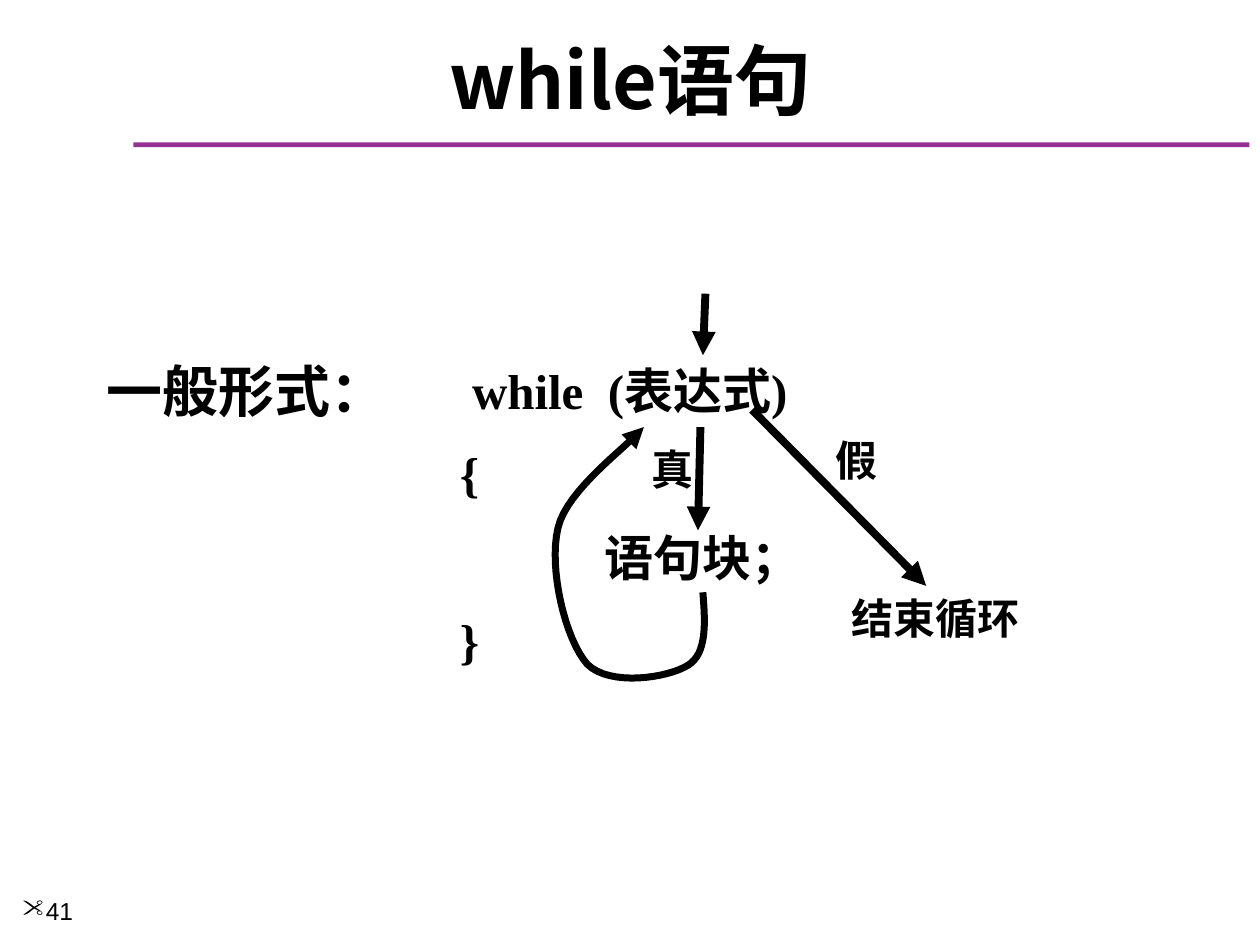
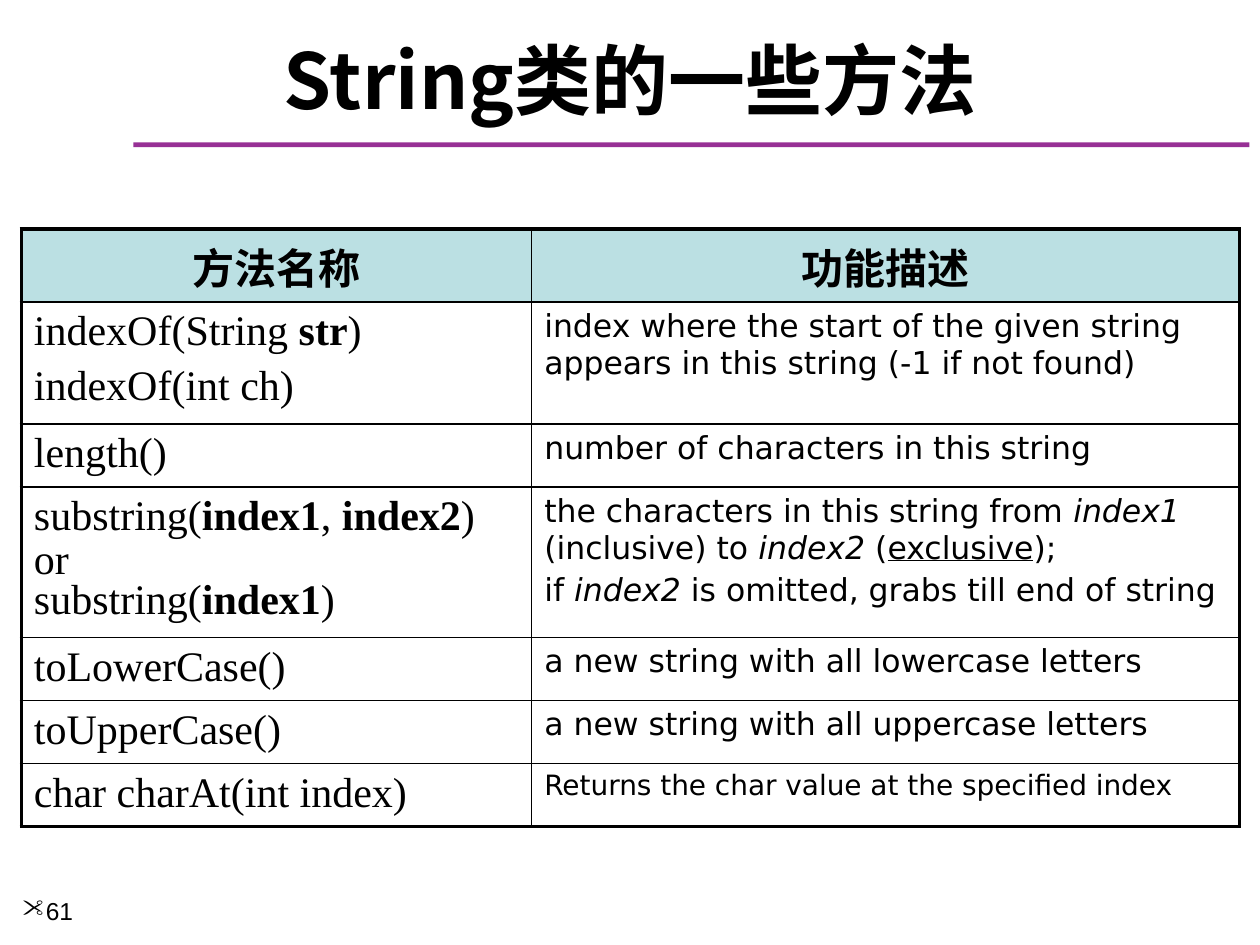
from pptx import Presentation
from pptx.dml.color import RGBColor
from pptx.enum.shapes import MSO_CONNECTOR, MSO_SHAPE
from pptx.enum.text import MSO_ANCHOR, PP_ALIGN
from pptx.oxml.ns import qn
from pptx.util import Cm, Pt
from lxml import etree

STRAIGHT = MSO_CONNECTOR.STRAIGHT
RECTANGLE = MSO_SHAPE.RECTANGLE
MIDDLE = MSO_ANCHOR.MIDDLE
LEFT, CENTER = PP_ALIGN.LEFT, PP_ALIGN.CENTER

BLACK, PURPLE, PALE_BLUE = "000000", "973095", "BBE0E3"
TITLE_FONT = {"name": "Noto Sans CJK SC", "size": Pt(44), "bold": True}
NUMBER_FONT = {"name": "Arial", "size": Pt(14)}
HEADING_FONT = {"name": "Times New Roman", "size": Pt(32), "bold": True}
CODE_FONT = HEADING_FONT | {"size": Pt(28)}
LABEL_FONT = HEADING_FONT | {"size": Pt(24)}
HEADER_FONT = {"name": "DejaVu Sans", "size": Pt(24), "bold": True}
METHOD_FONT = {"name": "Times New Roman", "size": Pt(24), "bold": False}
DESCRIPTION_FONT = {"name": "DejaVu Sans", "size": Pt(18), "bold": False}
SMALL_FONT = DESCRIPTION_FONT | {"size": Pt(16)}
BOLD, ITALIC, UNDERLINE = {"bold": True}, {"italic": True}, {"underline": True}

LOOP_START = (14.17, 11.94)
LOOP_CURVES = [
    ((14.22, 12.57), (14.25, 13.18), (13.87, 13.41)),
    ((13.46, 13.67), (12.29, 13.84), (11.84, 13.39)),
    ((11.4, 12.9), (11.05, 11.46), (11.25, 10.64)),
    ((11.43, 9.86), (12.67, 8.99), (12.98, 8.61)),
]
CURVE_STEPS = 16

COLUMN_WIDTHS = (10.29, 14.27)
ROW_HEIGHTS = (1.47, 2.29, 1.19, 2.84, 1.19, 1.19, 1.17)
METHODS = [
    ([["indexOf(String ", ("str", BOLD), ")"], ["indexOf(int ch)"]],
     [["index where the start of the given string appears in this string (-1 if not found)"]]),
    ([["length()"]], [["number of characters in this string"]]),
    ([["substring(", ("index1", BOLD), ", ", ("index2", BOLD), ")"],
      ["or"],
      ["substring(", ("index1", BOLD), ")"]],
     [["the characters in this string from ", ("index1", ITALIC), " (inclusive) to ",
       ("index2", ITALIC), " (", ("exclusive", UNDERLINE), ");"],
      ["if ", ("index2", ITALIC), " is omitted, grabs till end of string"]]),
    ([["toLowerCase()"]], [["a new string with all lowercase letters"]]),
    ([["toUpperCase()"]], [["a new string with all uppercase letters"]]),
    ([["char charAt(int index)"]], [["Returns the char value at the specified index"]]),
]


def color(value):
    """Turn a hex string into a colour."""
    return RGBColor.from_string(value)


def write(frame, lines, font, align=LEFT, gap=0, later_spacing=None):
    """Fill a text frame with lines, each a list of strings or (text, format) spans."""
    for index, line in enumerate(lines):
        para = frame.add_paragraph() if index else frame.paragraphs[0]
        para.alignment = align
        if index:
            para.space_before = Pt(gap)
            para.line_spacing = later_spacing
        for part in line:
            text, extra = part if isinstance(part, tuple) else (part, {})
            span = para.add_run()
            span.text = text
            for name, value in (font | extra).items():
                setattr(span.font, name, value)
            span.font.color.rgb = color(BLACK)


def add_text(page, place, lines, font, gap=0, wrap=False):
    """Add a text box and return its frame."""
    frame = page.shapes.add_textbox(*map(Cm, place)).text_frame
    frame.word_wrap = wrap
    write(frame, lines, font, gap=gap)
    return frame


def style_arrow(shape, width):
    """Give a line its colour, width and triangular head."""
    shape.line.color.rgb = color(BLACK)
    shape.line.width = Pt(width)
    outline = shape.element.spPr.find(qn("a:ln"))
    etree.SubElement(outline, qn("a:tailEnd"), type="triangle")


def add_arrow(page, start, end):
    """Add a straight arrow."""
    arrow = page.shapes.add_connector(STRAIGHT, *map(Cm, start + end))
    style_arrow(arrow, 4.5)
    etree.SubElement(arrow.element.spPr, qn("a:effectLst"))


def curve_points(start, curves):
    """Return points along a chain of cubic curves."""
    points = []
    for first, second, end in curves:
        for step in range(1, CURVE_STEPS + 1):
            t = step / CURVE_STEPS
            weights = ((1 - t) ** 3, 3 * t * (1 - t) ** 2, 3 * t * t * (1 - t), t ** 3)
            corners = (start, first, second, end)
            points.append(tuple(
                Cm(sum(w * corner[axis] for w, corner in zip(weights, corners)))
                for axis in (0, 1)))
        start = end
    return points


def add_loop(page):
    """Add the curved arrow from the block back to the condition."""
    builder = page.shapes.build_freeform(*map(Cm, LOOP_START))
    builder.add_line_segments(curve_points(LOOP_START, LOOP_CURVES), close=False)
    loop = builder.convert_to_shape()
    loop.fill.background()
    loop.shadow.inherit = False
    style_arrow(loop, 4)


def add_page(deck, title, number):
    """Add a slide with title, purple band and page number."""
    page = deck.slides.add_slide(deck.slide_layouts[5])
    band = page.shapes.add_shape(RECTANGLE, *map(Cm, (2.69, 2.87, 22.5, 0.1)))
    band.fill.solid()
    band.fill.fore_color.rgb = color(PURPLE)
    band.line.fill.background()
    band.shadow.inherit = False
    heading = page.shapes.title
    place = {"left": 0.43, "top": 0.64, "width": 24.56, "height": 1.9}
    for name, value in place.items():
        setattr(heading, name, Cm(value))
    heading.text_frame.vertical_anchor = MIDDLE
    write(heading.text_frame, [[title]], TITLE_FONT, CENTER)
    frame = add_text(page, (0.2, 17.93, 2.74, 1.12), [[number]], NUMBER_FONT, wrap=True)
    properties = frame.paragraphs[0]._p.get_or_add_pPr()
    etree.SubElement(properties, qn("a:buFont"), typeface="Wingdings")
    etree.SubElement(properties, qn("a:buChar"), char='"')
    return page


def set_borders(cell, widths):
    """Draw the four cell borders, given as side and width."""
    properties = cell._tc.get_or_add_tcPr()
    for side, width in widths.items():
        line = etree.SubElement(properties, qn(f"a:ln{side}"), w=str(Pt(width)))
        fill = etree.SubElement(line, qn("a:solidFill"))
        etree.SubElement(fill, qn("a:srgbClr"), val=BLACK)


def add_method_table(page):
    """Add the table of methods and their descriptions."""
    rows, columns = len(ROW_HEIGHTS), len(COLUMN_WIDTHS)
    place = (0.43, 4.62, sum(COLUMN_WIDTHS), sum(ROW_HEIGHTS))
    table = page.shapes.add_table(rows, columns, *map(Cm, place)).table
    table.first_row = table.horz_banding = False
    for column, width in zip(table.columns, COLUMN_WIDTHS):
        column.width = Cm(width)
    for row, height in zip(table.rows, ROW_HEIGHTS):
        row.height = Cm(height)
    for r in range(rows):
        for c in range(columns):
            edges = {"L": c == 0, "R": c == columns - 1, "T": r == 0, "B": r == rows - 1}
            set_borders(table.cell(r, c),
                        {side: 2.25 if outer else 1 for side, outer in edges.items()})
    for c, text in enumerate(("方法名称", "功能描述")):
        header = table.cell(0, c)
        header.fill.solid()
        header.fill.fore_color.rgb = color(PALE_BLUE)
        write(header.text_frame, [[text]], HEADER_FONT, CENTER)
    for r, (names, description) in enumerate(METHODS, 1):
        method, detail = table.cell(r, 0), table.cell(r, 1)
        method.fill.background()
        detail.fill.background()
        spacing = 0.7 if len(names) > 2 else None
        write(method.text_frame, names, METHOD_FONT, gap=4.8, later_spacing=spacing)
        font = SMALL_FONT if r == rows - 1 else DESCRIPTION_FONT
        write(detail.text_frame, description, font, gap=3.6)


def add_while_flow(page):
    """Add the while form with its control flow."""
    add_text(page, (1.9, 7.06, 6.22, 1.63), [["一般形式："]], HEADING_FONT)
    code = [[" while  (表达式)"], ["{"], ["             语句块；"], ["}"]]
    add_text(page, (9.02, 7.14, 7.77, 6.83), code, CODE_FONT, gap=14)
    add_arrow(page, (14.22, 5.92), (14.17, 7.16))
    add_arrow(page, (15.16, 8.26), (18.67, 11.81))
    add_arrow(page, (14.12, 8.61), (14.07, 10.69))
    labels = {"假": (16.59, 8.64, 1.37, 1.27),
              "结束循环": (16.92, 11.81, 3.91, 1.27),
              "真": (12.88, 8.81, 1.37, 1.27)}
    for text, place in labels.items():
        add_text(page, place, [[text]], LABEL_FONT)
    add_loop(page)


def main():
    """Build and save the two slides."""
    deck = Presentation()
    deck.slide_width, deck.slide_height = Cm(25.4), Cm(19.05)
    add_while_flow(add_page(deck, "while语句", "41"))
    add_method_table(add_page(deck, "String类的一些方法", "61"))
    deck.save("out.pptx")


if __name__ == "__main__":
    main()
